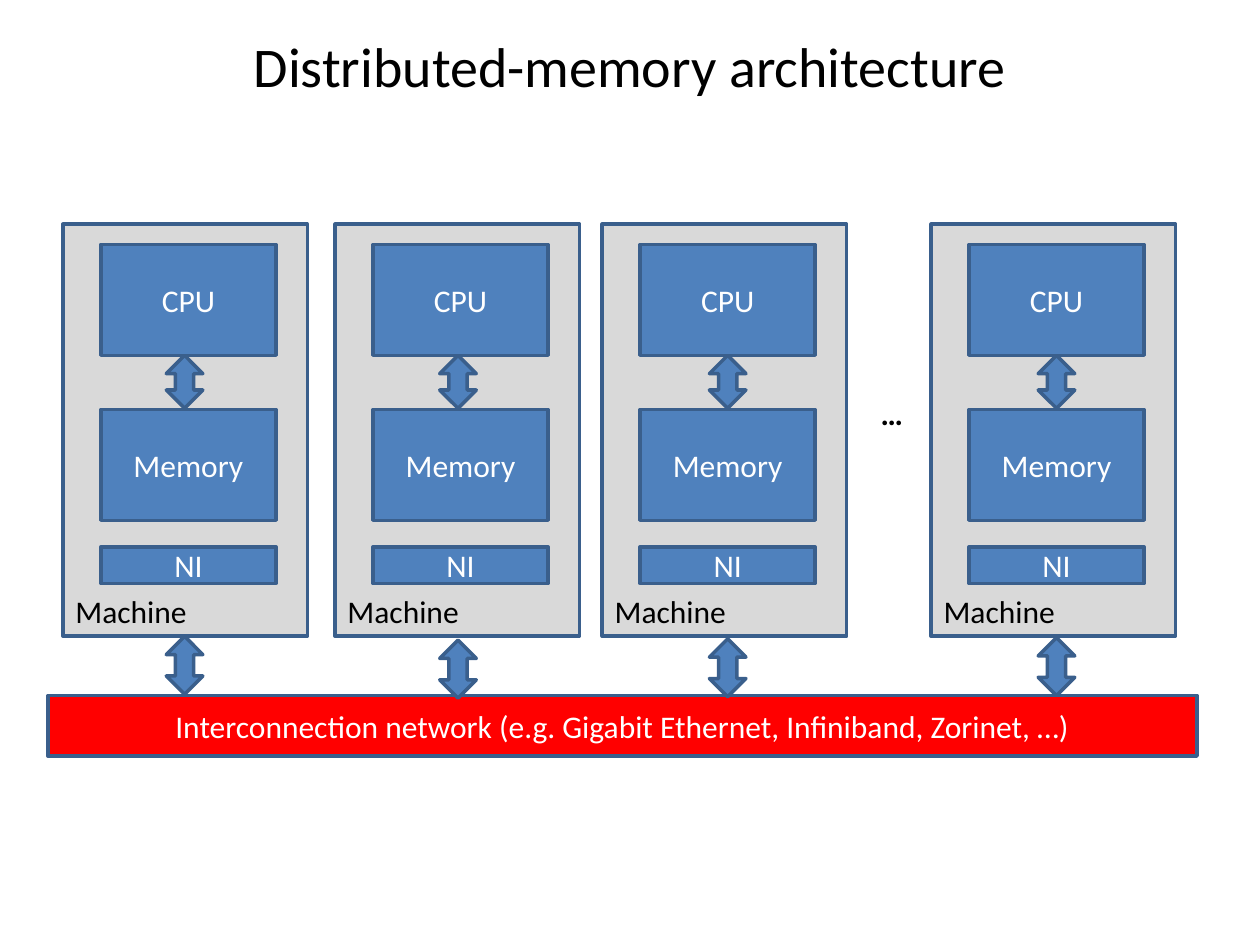
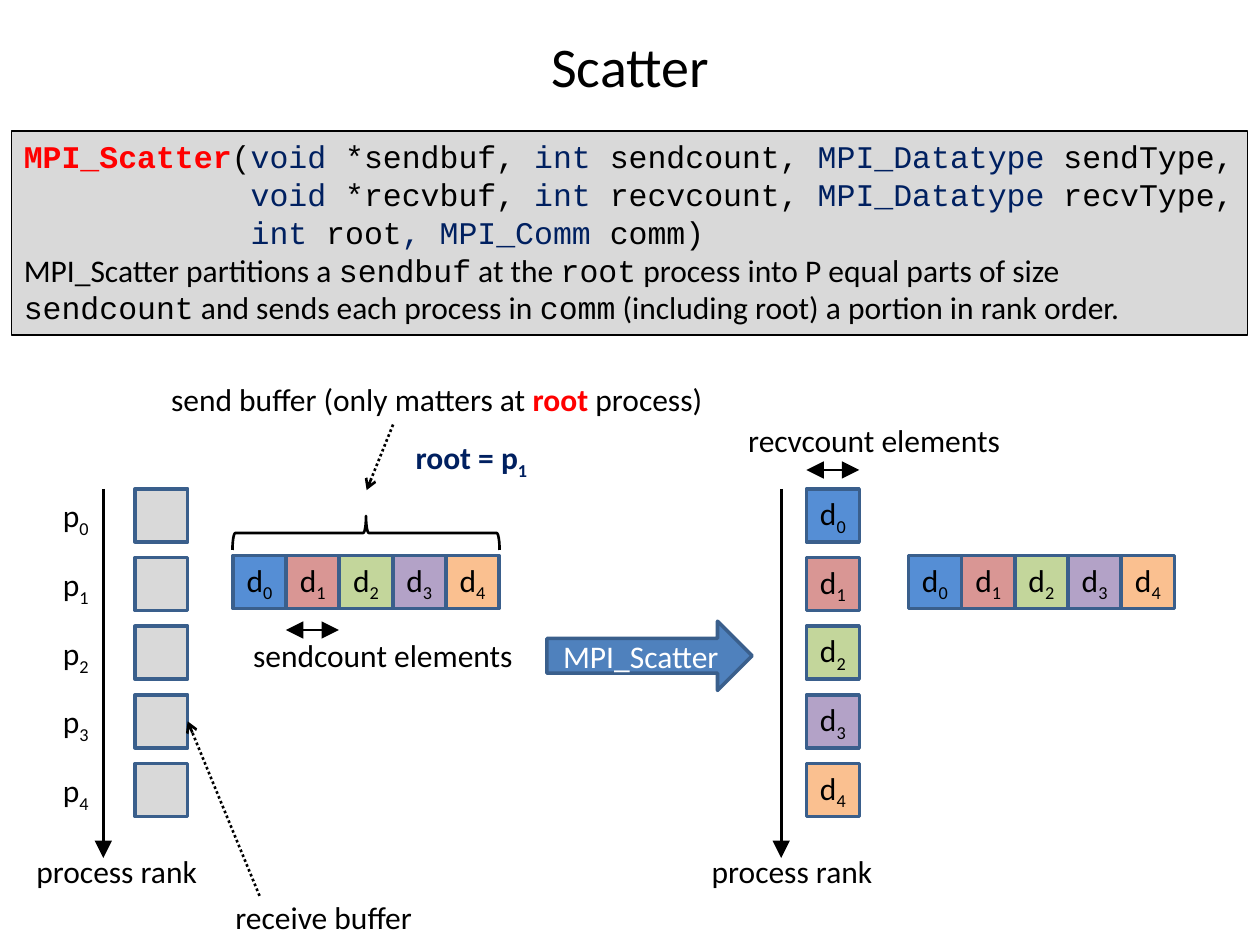
import pptx
import pptx.dml.color
import pptx.enum.dml
import pptx.enum.shapes
import pptx.enum.text
import pptx.oxml
import pptx.oxml.ns
import pptx.util
from pptx.util import Inches

SHAPE = pptx.enum.shapes.MSO_SHAPE
ALIGN = pptx.enum.text.PP_ALIGN
ANCHOR = pptx.enum.text.MSO_ANCHOR

BLACK, WHITE, RED, NAVY = "000000", "FFFFFF", "FF0000", "002060"
BLUE, OUTLINE, GREY = "4F81BD", "3A5F8C", "D9D9D9"
PART_COLORS = ["558ED5", "D99694", "C3D69B", "B3A2C7", "FAC090"]
BODY_FONT, CODE_FONT = "Calibri", "Courier New"

# Scatter diagram grid
CELL = 0.42
RANK_TOP = 3.88
RANK_STEP = (6.06 - RANK_TOP) / 4
ROW_TOP = 4.41
ROW_STEP = (3.54 - 1.85) / 4


def rgb(hex_color):
    return pptx.dml.color.RGBColor.from_string(hex_color)


def add_run(paragraph, text, color=BLACK, bold=False, font=BODY_FONT, size=18, sub=False):
    run = paragraph.add_run()
    run.text = text
    run.font.name = font
    run.font.size = pptx.util.Pt(size)
    run.font.bold = bold
    run.font.color.rgb = rgb(color)
    if sub:
        run.font._element.set("baseline", "-25000")


def add_subscripted(paragraph, text, index, **style):
    add_run(paragraph, text, **style)
    add_run(paragraph, str(index), sub=True, **style)


def add_titled_slide(presentation, title):
    slide = presentation.slides.add_slide(presentation.slide_layouts[5])
    shape = slide.shapes.title
    shape.left, shape.top = Inches(0.5), Inches(0.17)
    shape.width, shape.height = Inches(9), Inches(0.7)
    shape.text_frame.vertical_anchor = ANCHOR.MIDDLE
    paragraph = shape.text_frame.paragraphs[0]
    paragraph.alignment = ALIGN.CENTER
    add_run(paragraph, title, size=32)
    return slide


def add_figure(slide, kind, left, top, width, height, fill=BLUE, line=OUTLINE, weight=2):
    """Preset shape with flat fill and outline."""
    shape = slide.shapes.add_shape(
        kind, Inches(left), Inches(top), Inches(width), Inches(height))
    shape.shadow.inherit = False
    if fill:
        shape.fill.solid()
        shape.fill.fore_color.rgb = rgb(fill)
    else:
        shape.fill.background()
    shape.line.color.rgb = rgb(line)
    shape.line.width = pptx.util.Pt(weight)
    return shape


def center_text(shape):
    """Return the shape's paragraph, centred and free of side margins."""
    frame = shape.text_frame
    frame.margin_left = frame.margin_right = 0
    frame.vertical_anchor = ANCHOR.MIDDLE
    paragraph = frame.paragraphs[0]
    paragraph.alignment = ALIGN.CENTER
    return paragraph


def add_box(slide, text, left, top, width, height, fill=BLUE, kind=SHAPE.RECTANGLE):
    shape = add_figure(slide, kind, left, top, width, height, fill)
    add_run(center_text(shape), text, color=WHITE)


def add_label(slide, left, top, width):
    """Return the paragraph of a one-line text box."""
    box = slide.shapes.add_textbox(Inches(left), Inches(top), Inches(width), Inches(0.4))
    box.text_frame.word_wrap = False
    box.text_frame.auto_size = pptx.enum.text.MSO_AUTO_SIZE.SHAPE_TO_FIT_TEXT
    return box.text_frame.paragraphs[0]


def add_arrow(slide, start, end, tail="triangle", head=None, dotted=False):
    connector = slide.shapes.add_connector(
        pptx.enum.shapes.MSO_CONNECTOR.STRAIGHT, *map(Inches, start + end))
    connector.line.color.rgb = rgb(BLACK)
    connector.line.width = pptx.util.Pt(1.5)
    if dotted:
        connector.line.dash_style = pptx.enum.dml.MSO_LINE.ROUND_DOT
    line = connector.line._get_or_add_ln()
    for tag, arrowhead in (("headEnd", head), ("tailEnd", tail)):
        if arrowhead:
            size = "lg" if arrowhead == "triangle" else "med"
            line.append(pptx.oxml.parse_xml(
                f'<a:{tag} {pptx.oxml.ns.nsdecls("a")} type="{arrowhead}"'
                f' w="{size}" len="{size}"/>'))
    connector._element.spPr.append(pptx.oxml.parse_xml(
        f'<a:effectLst {pptx.oxml.ns.nsdecls("a")}/>'))
    return connector


# Distributed-memory slide

def add_exchange(slide, left, top, height):
    shape = add_figure(slide, SHAPE.UP_DOWN_ARROW, left, top, 0.29, height)
    shape.rotation = 180


def add_machine(slide, left, arrow_left, link_top):
    add_figure(slide, SHAPE.RECTANGLE, left, 1.78, 1.94, 3.27, GREY)
    add_run(add_label(slide, left, 4.65, 1.1), "Machine")
    for part, top, height in (("CPU", 1.94, 0.88), ("Memory", 3.25, 0.88), ("NI", 4.34, 0.29)):
        add_box(slide, part, left + 0.3, top, 1.39, height)
    add_exchange(slide, arrow_left, 2.82, 0.42)
    add_exchange(slide, arrow_left, link_top, 0.46)


def build_architecture(presentation):
    slide = add_titled_slide(presentation, "Distributed-memory architecture")
    add_box(slide, "Interconnection network (e.g. Gigabit Ethernet, Infiniband, Zorinet, …)",
            0.38, 5.52, 9.12, 0.48, RED)
    machines = ((0.5, 1.32, 5.05), (2.66, 3.49, 5.08), (4.78, 5.63, 5.07), (7.39, 8.24, 5.06))
    for left, arrow_left, link_top in machines:
        add_machine(slide, left, arrow_left, link_top)
    add_run(add_label(slide, 6.89, 3.08, 0.38), "…", bold=True)


# Scatter slide

def add_signature(slide):
    shape = add_figure(slide, SHAPE.RECTANGLE, 0.09, 1.04, 9.81, 1.62, GREY, BLACK, 0.75)
    frame = shape.text_frame
    frame.word_wrap = True
    frame.vertical_anchor = ANCHOR.TOP
    indent = " " * 12
    code_lines = (
        (("MPI_Scatter", RED), ("(", BLACK), ("void", NAVY), (" *sendbuf, ", BLACK),
         ("int ", NAVY), ("sendcount, ", BLACK), ("MPI_Datatype ", NAVY), ("sendType,", BLACK)),
        ((indent, BLACK), ("void", NAVY), (" *recvbuf, ", BLACK),
         ("int ", NAVY), ("recvcount, ", BLACK), ("MPI_Datatype ", NAVY), ("recvType,", BLACK)),
        ((indent, BLACK), ("int", NAVY), (" root", BLACK), (", MPI_Comm", NAVY),
         (" comm)", BLACK)),
    )
    paragraph = frame.paragraphs[0]
    for code_line in code_lines:
        paragraph.alignment = ALIGN.LEFT
        for text, color in code_line:
            add_run(paragraph, text, color, bold=color == RED, font=CODE_FONT)
        paragraph = frame.add_paragraph()

    # Description alternates prose and code words
    paragraph.alignment = ALIGN.LEFT
    description = (
        "MPI_Scatter partitions a ", "sendbuf", " at the ", "root",
        " process into P equal parts of size ", "sendcount",
        " and sends each process in ", "comm", " (including root) a portion in rank order.")
    for position, text in enumerate(description):
        add_run(paragraph, text, font=CODE_FONT if position % 2 else BODY_FONT)


def add_cell(slide, left, top, part=None):
    """Buffer cell: grey when empty, coloured and named when it holds a part."""
    fill = GREY if part is None else PART_COLORS[part]
    cell = add_figure(slide, SHAPE.RECTANGLE, left, top, CELL, CELL, fill)
    if part is not None:
        add_subscripted(center_text(cell), "d", part)
    return cell


def add_send_buffer(slide, left):
    for part in range(len(PART_COLORS)):
        add_cell(slide, left + part * ROW_STEP, ROW_TOP, part)


def add_rank_axis(slide, left, label_left):
    add_arrow(slide, (left, RANK_TOP), (left, 6.81))
    add_run(add_label(slide, label_left, 6.71, 1.49), "process rank")


def add_count(slide, text, left, arrow_top, label_left, label_top, label_width):
    add_arrow(slide, (left, arrow_top), (left + CELL, arrow_top), head="triangle")
    add_run(add_label(slide, label_left, label_top, label_width), text)


def build_scatter(presentation):
    slide = add_titled_slide(presentation, "Scatter")
    add_signature(slide)

    # Ranks before and after the call
    add_rank_axis(slide, 0.82, 0.19)
    add_rank_axis(slide, 6.2, 5.55)
    receive_cells = []
    for rank in range(len(PART_COLORS)):
        top = RANK_TOP + rank * RANK_STEP
        add_subscripted(add_label(slide, 0.4, top + 0.01, 0.42), "p", rank)
        receive_cells.append(add_cell(slide, 1.07, top))
        add_cell(slide, 6.4, top, rank)
    add_send_buffer(slide, 1.85)
    add_send_buffer(slide, 7.21)
    add_box(slide, "MPI_Scatter", 4.34, 4.93, 1.63, 0.55, kind=SHAPE.RIGHT_ARROW)

    # Element counts
    add_count(slide, "sendcount elements", 2.27, 5, 1.91, 5, 2.29)
    add_count(slide, "recvcount elements", 6.4, 3.73, 5.84, 3.29, 2.23)

    # Send buffer callout
    paragraph = add_label(slide, 1.26, 2.97, 4.47)
    add_run(paragraph, "send buffer (only matters at ")
    add_run(paragraph, "root", RED, bold=True)
    add_run(paragraph, " process)")
    add_arrow(slide, (3.12, 3.37), (2.91, 3.89), tail="arrow", dotted=True)
    brace = add_figure(slide, SHAPE.RIGHT_BRACE, 2.77, 3.17, 0.27, 2.12, None, BLACK, 1.5)
    brace.rotation = 270
    add_subscripted(add_label(slide, 3.2, 3.43, 1.14), "root = p", 1, color=NAVY, bold=True)

    # Receive buffer callout
    add_run(add_label(slide, 1.77, 7.08, 1.62), "receive buffer")
    pointer = add_arrow(slide, (2.06, 7.11), (1.49, 5.72), tail="arrow", dotted=True)
    pointer.end_connect(receive_cells[3], 3)


def main():
    presentation = pptx.Presentation()
    presentation.slide_width = Inches(10)
    presentation.slide_height = Inches(7.5)
    build_architecture(presentation)
    build_scatter(presentation)
    presentation.save("out.pptx")


if __name__ == "__main__":
    main()
